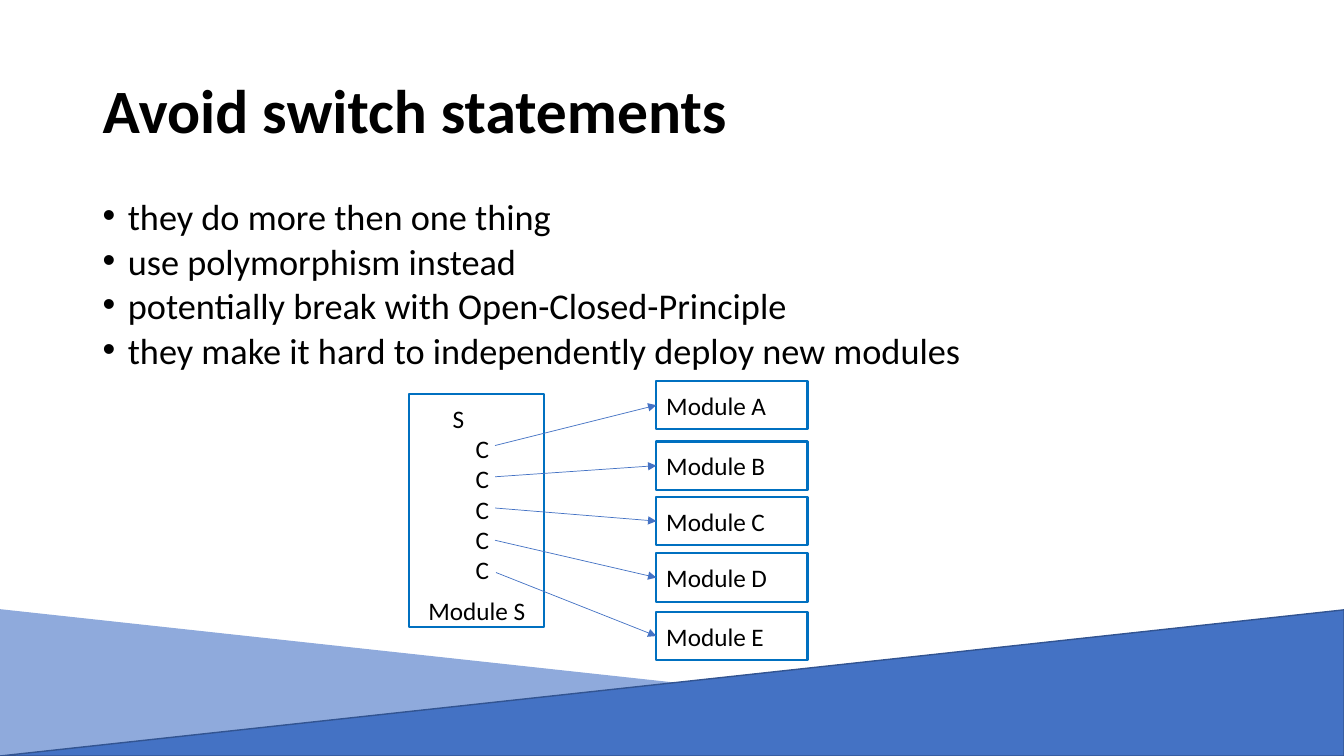
from dataclasses import dataclass

from lxml.etree import SubElement
from pptx import Presentation
from pptx.dml.color import RGBColor as Rgb
from pptx.enum.shapes import MSO_CONNECTOR as Connector, MSO_SHAPE as Preset
from pptx.enum.text import MSO_ANCHOR as Anchor, PP_ALIGN as Align
from pptx.oxml.ns import qn
from pptx.util import Inches, Pt


@dataclass(frozen=True)
class Theme:
    font: str = "Calibri"
    text: Rgb = Rgb(0, 0, 0)
    pale_blue: Rgb = Rgb(0x8F, 0xAA, 0xDC)
    blue: Rgb = Rgb(0x44, 0x72, 0xC4)
    dark_blue: Rgb = Rgb(0x32, 0x54, 0x91)
    outline: Rgb = Rgb(0x00, 0x70, 0xC0)
    title_size: float = 44
    body_size: float = 25.9
    label_size: float = 18


@dataclass(frozen=True)
class Box:
    left: float
    top: float
    width: float
    height: float

    def emu(self) -> list:
        return [Inches(v) for v in (self.left, self.top, self.width, self.height)]


@dataclass(frozen=True)
class Module:
    name: str
    top: float
    call_left: float
    call_top: float


THEME = Theme()
SLIDE_WIDTH, SLIDE_HEIGHT = 13.33, 7.5
BAND_HEIGHT = 1.45
POINTS = [
    "they do more then one thing",
    "use polymorphism instead",
    "potentially break with Open-Closed-Principle",
    "they make it hard to independently deploy new modules",
]
MODULES = [
    Module("Module A", 3.78, 4.91, 4.42),
    Module("Module B", 4.38, 4.91, 4.73),
    Module("Module C", 4.93, 4.91, 5.04),
    Module("Module D", 5.49, 4.91, 5.36),
    Module("Module E", 6.07, 4.92, 5.68),
]


def write(frame, lines: list[str], *, size: float = THEME.label_size,
          bold: bool = False, anchor=Anchor.TOP, line_spacing: float = 1.0,
          space_before: float = 0, bullet: str = "") -> None:
    frame.word_wrap = True
    frame.vertical_anchor = anchor
    for index, line in enumerate(lines):
        paragraph = frame.add_paragraph() if index else frame.paragraphs[0]
        paragraph.alignment = Align.LEFT
        paragraph.line_spacing = line_spacing
        paragraph.space_before = Pt(space_before)
        run = paragraph.add_run()
        run.text = line
        run.font.name = THEME.font
        run.font.size = Pt(size)
        run.font.bold = bold
        run.font.color.rgb = THEME.text
        if bullet:
            indent(paragraph, 0.25, -0.25)
            properties = paragraph._p.get_or_add_pPr()
            SubElement(properties, qn("a:buFont"), typeface="Arial")
            SubElement(properties, qn("a:buChar"), char=bullet)


def indent(paragraph, margin: float, first_line: float = 0) -> None:
    properties = paragraph._p.get_or_add_pPr()
    properties.set("marL", str(Inches(margin)))
    properties.set("indent", str(Inches(first_line)))


def add_text(slide, box: Box, lines: list[str], **style):
    frame = slide.shapes.add_textbox(*box.emu()).text_frame
    write(frame, lines, **style)
    return frame


def add_preset(slide, preset, box: Box, line: Rgb, weight: float,
               fill: Rgb | None = None):
    shape = slide.shapes.add_shape(preset, *box.emu())
    shape.shadow.inherit = False
    if fill is None:
        shape.fill.background()
    else:
        shape.fill.solid()
        shape.fill.fore_color.rgb = fill
    shape.line.color.rgb = line
    shape.line.width = Pt(weight)
    return shape


def add_call(slide, module: Module, target) -> None:
    """Draw an arrow from a case of the switch to the left side of its module."""
    start = Inches(module.call_left), Inches(module.call_top)
    arrow = slide.shapes.add_connector(Connector.STRAIGHT, *start, *start)
    arrow.end_connect(target, 1)
    arrow.line.color.rgb = THEME.blue
    arrow.line.width = Pt(0.5)
    SubElement(arrow.line._get_or_add_ln(), qn("a:tailEnd"), type="triangle")
    SubElement(arrow._element.spPr, qn("a:effectLst"))


def add_background(slide) -> None:
    band_top = SLIDE_HEIGHT - BAND_HEIGHT
    add_preset(slide, Preset.RIGHT_TRIANGLE,
               Box(0, band_top, SLIDE_WIDTH, BAND_HEIGHT),
               THEME.pale_blue, 1, THEME.pale_blue)
    # Before its quarter turn the front band stands upright about the same centre.
    upright = Box((SLIDE_WIDTH - BAND_HEIGHT) / 2,
                  band_top + (BAND_HEIGHT - SLIDE_WIDTH) / 2,
                  BAND_HEIGHT, SLIDE_WIDTH)
    front = add_preset(slide, Preset.RIGHT_TRIANGLE, upright,
                       THEME.dark_blue, 1, THEME.blue)
    front.rotation = 270


def add_diagram(slide) -> None:
    add_preset(slide, Preset.RECTANGLE, Box(4.06, 3.91, 1.34, 2.31),
               THEME.outline, 1.5)
    switch = add_text(slide, Box(4.39, 3.95, 1.01, 1.92),
                      ["S"] + ["C"] * len(MODULES))
    for case in switch.paragraphs[1:]:
        indent(case, 0.23)
    add_text(slide, Box(4.15, 5.86, 1.52, 0.4), ["Module S"])
    for module in MODULES:
        target = add_preset(slide, Preset.RECTANGLE,
                            Box(6.51, module.top, 1.5, 0.48), THEME.outline, 1.5)
        write(target.text_frame, [module.name], anchor=Anchor.MIDDLE)
        add_call(slide, module, target)


def main() -> None:
    deck = Presentation()
    deck.slide_width, deck.slide_height = Inches(SLIDE_WIDTH), Inches(SLIDE_HEIGHT)
    slide = deck.slides.add_slide(deck.slide_layouts[6])
    add_background(slide)
    add_text(slide, Box(0.92, 0.4, 11.5, 1.45), ["Avoid switch statements"],
             size=THEME.title_size, bold=True, anchor=Anchor.MIDDLE,
             line_spacing=0.9)
    add_text(slide, Box(0.92, 2, 11.5, 1.75), POINTS, size=THEME.body_size,
             line_spacing=0.7, space_before=10, bullet="•")
    add_diagram(slide)
    deck.save("out.pptx")


if __name__ == "__main__":
    main()
